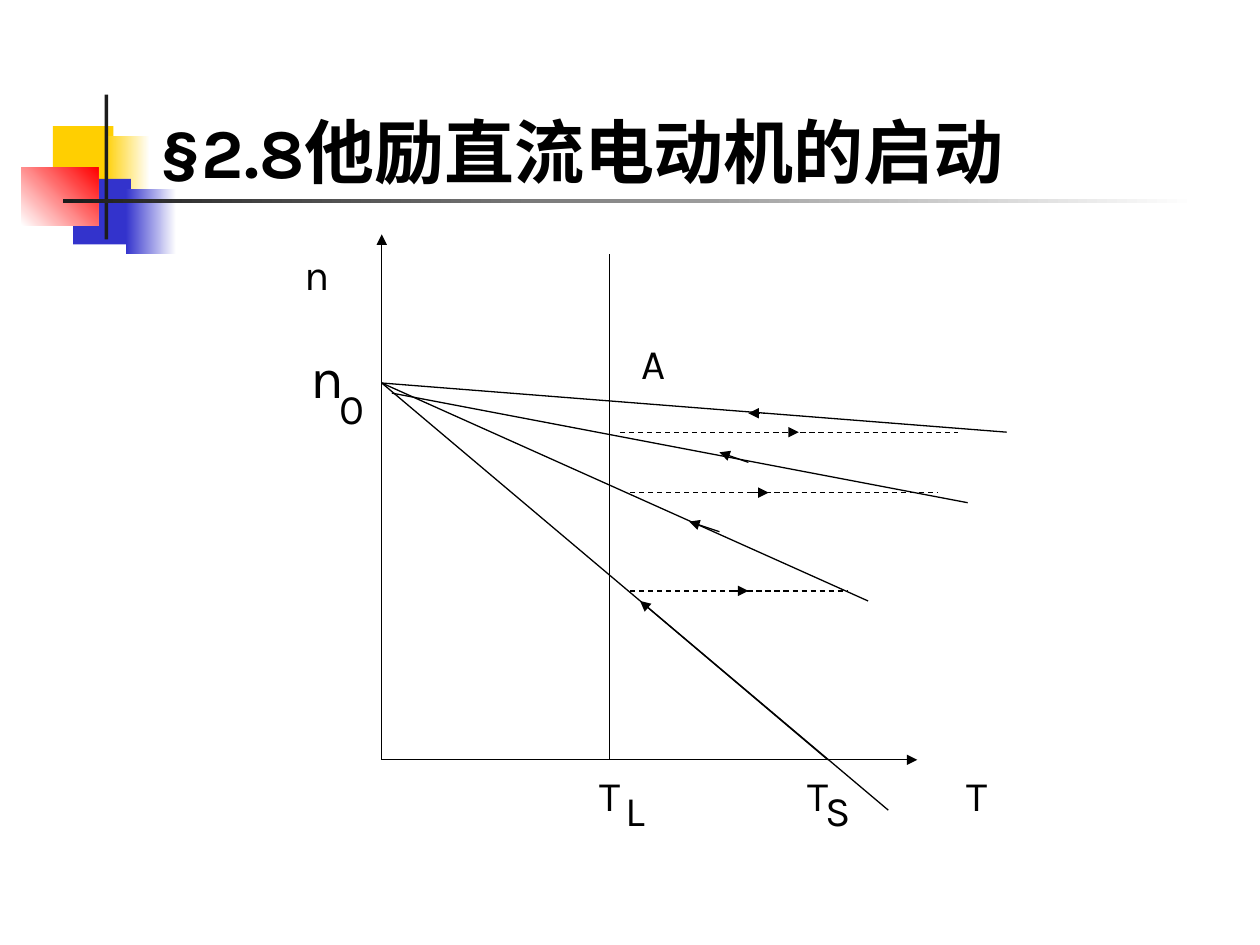
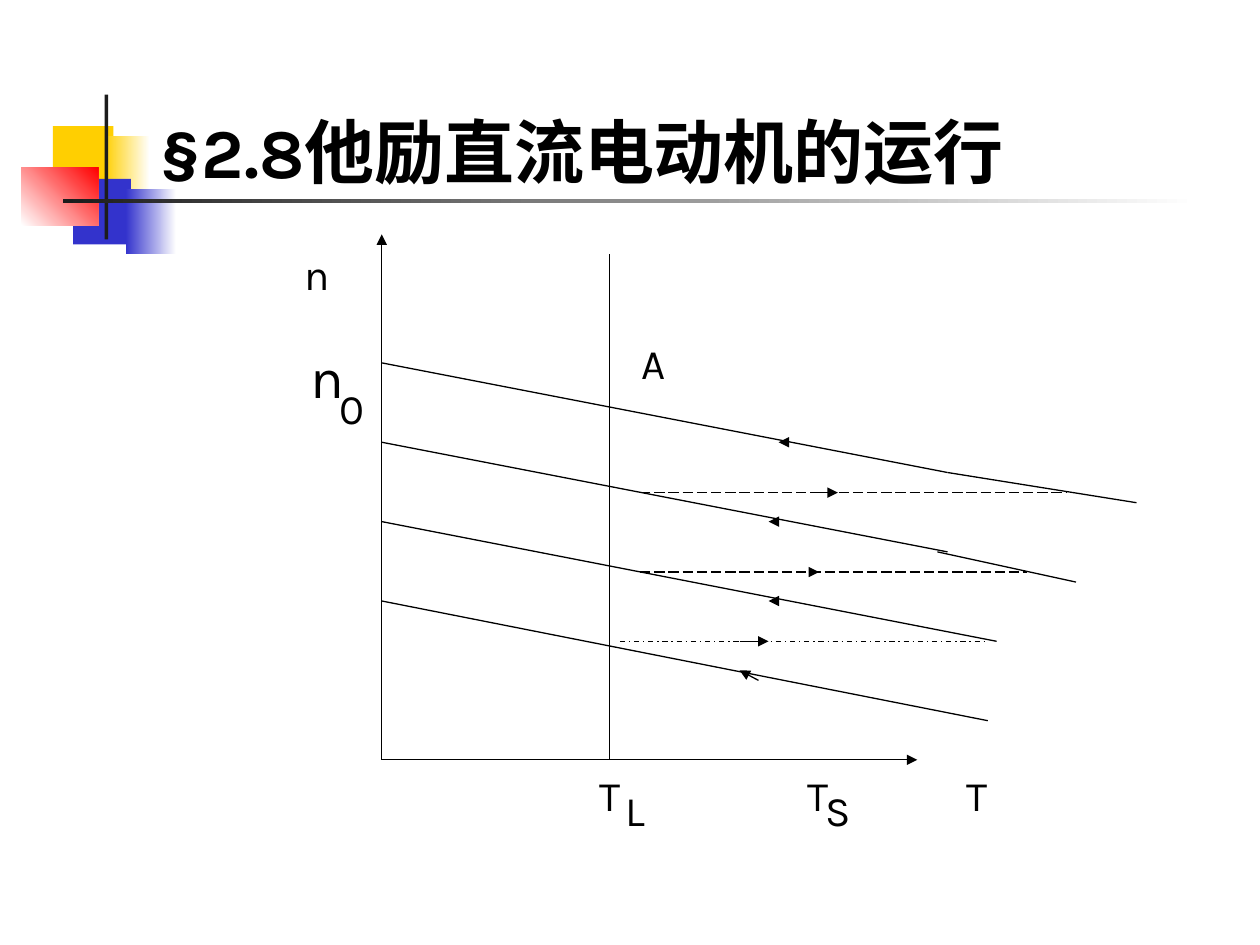
from lxml import etree
from pptx import Presentation
from pptx.dml.color import RGBColor
from pptx.enum.dml import MSO_LINE
from pptx.enum.shapes import MSO_CONNECTOR, MSO_SHAPE
from pptx.enum.text import MSO_ANCHOR, PP_ALIGN
from pptx.oxml.ns import qn
from pptx.util import Inches, Pt

RECT = MSO_SHAPE.RECTANGLE
STRAIGHT = MSO_CONNECTOR.STRAIGHT
TOP, MIDDLE, BOTTOM = MSO_ANCHOR.TOP, MSO_ANCHOR.MIDDLE, MSO_ANCHOR.BOTTOM
LEFT, CENTER = PP_ALIGN.LEFT, PP_ALIGN.CENTER
DASH, LONG_DASH, DASH_DOT = MSO_LINE.DASH, MSO_LINE.LONG_DASH, MSO_LINE.DASH_DOT

FONT = "Karla"
COLORS = {
    "white": "FFFFFF", "black": "000000", "yellow": "FFCF01",
    "blue": "3333CC", "red": "FF0000", "rule": "1C1C1C",
}

BANDS = [
    ((0.42, 1, 0.48, 0.52), ("yellow",), 0),
    ((0.83, 1.08, 0.36, 0.52), ("yellow", "white"), 0),
    ((0.58, 1.42, 0.46, 0.52), ("blue",), 0),
    ((1, 1.5, 0.4, 0.52), ("blue", "white"), 0),
    ((0.17, 1.33, 0.61, 0.46), ("white", "red"), 45),
    ((0.83, 0.75, 0.03, 1.15), ("rule",), 0),
    ((0.5, 1.58, 9, 0.03), ("rule", "white"), 0),
]

TITLE_BOX = (1.17, 0.5, 8.52, 1.08)
TITLE_STYLE = {"size": Pt(40), "bold": True}
LABEL_STYLE = {"size": Pt(24)}
SPEED_STYLE = {"size": Pt(32)}

LABELS = [
    ("n", (2.24, 1.94, 0.55, 0.47)),
    ("0", (2.56, 2.96, 0.47, 0.55)),
    ("T", (6.18, 5.95, 0.63, 0.71)),
    ("T", (7.44, 5.95, 0.63, 0.71)),
    ("L", (4.69, 6.11, 0.71, 0.63)),
    ("S", (6.34, 6.11, 0.63, 0.63)),
    ("A ", (4.92, 2.57, 0.61, 0.61)),
    ("T", (4.53, 5.95, 0.63, 0.71)),
]
NO_LOAD_SPEED = ("n", (2.32, 2.73, 0.56, 0.59))

ORIGIN_X, ORIGIN_Y, LOAD_X = 3.03, 6.03, 4.84
AXES = [(ORIGIN_X, ORIGIN_Y, ORIGIN_X, 1.86), (ORIGIN_X, ORIGIN_Y, 7.28, ORIGIN_Y)]
LOAD_LINE = (LOAD_X, 2.02, LOAD_X, ORIGIN_Y)

SLIDES = [
    {
        "title": "§2.8他励直流电动机的启动",
        "curves": [
            (ORIGIN_X, 3.04, 7.05, 6.43),
            (ORIGIN_X, 3.04, 6.89, 4.77),
            (3.11, 3.12, 7.68, 3.99),
            (ORIGIN_X, 3.04, 7.99, 3.43),
        ],
        "arrows": [
            (6.57, ORIGIN_Y, 5.08, 4.77),
            (5.71, 4.22, 5.47, 4.14),
            (5.94, 3.67, 5.71, 3.59),
            (5.79, 4.69, 5.94, 4.69),
            (5.94, 3.91, 6.1, 3.91),
            (6.26, 3.43, 6.34, 3.43),
        ],
        "dashed_arrows": [(6.1, 3.28, 5.94, 3.28)],
        "switches": [
            ((5, 4.69, 6.73, 4.69), DASH),
            ((5, 3.91, 7.44, 3.91), DASH),
            ((4.92, 3.43, 7.6, 3.43), DASH),
        ],
    },
    {
        "title": "§2.8他励直流电动机的运行",
        "curves": [
            (ORIGIN_X, 2.88, 7.52, 3.75),
            (7.52, 3.75, 9.02, 3.99),
            (ORIGIN_X, 3.51, 7.52, 4.38),
            (7.44, 4.38, 8.54, 4.62),
            (ORIGIN_X, 4.14, 7.91, 5.09),
            (ORIGIN_X, 4.77, 7.84, 5.72),
        ],
        "arrows": [
            (6.02, 5.4, 5.87, 5.32),
            (6.18, 4.77, 6.1, 4.77),
            (6.18, 4.14, 6.1, 4.14),
            (6.26, 3.51, 6.18, 3.51),
            (6.02, 5.09, 6.02, 5.09),
            (5.87, 5.09, 6.1, 5.09),
            (6.42, 4.54, 6.5, 4.54),
            (6.5, 3.91, 6.65, 3.91),
        ],
        "dashed_arrows": [],
        "switches": [
            ((4.92, 5.09, 7.84, 5.09), DASH_DOT),
            ((5.08, 4.54, 8.15, 4.54), LONG_DASH),
            ((5.08, 3.91, 8.47, 3.91), LONG_DASH),
        ],
    },
]


def rgb(name):
    return RGBColor.from_string(COLORS[name])


def inches(values):
    return [Inches(v) for v in values]


def add_band(s, box, colors, angle):
    sp = s.shapes.add_shape(RECT, *inches(box))
    sp.shadow.inherit = False
    sp.line.fill.background()
    if len(colors) == 1:
        sp.fill.solid()
        sp.fill.fore_color.rgb = rgb(colors[0])
        return
    sp.fill.gradient()
    sp.fill.gradient_angle = angle
    for stop, color in zip(sp.fill.gradient_stops, colors):
        stop.color.rgb = rgb(color)


def add_text(s, text, box, style, anchor=MIDDLE, align=CENTER, wrap=False, spacing=None):
    tf = s.shapes.add_textbox(*inches(box)).text_frame
    tf.word_wrap = wrap
    tf.vertical_anchor = anchor
    p = tf.paragraphs[0]
    p.alignment = align
    p.line_spacing = spacing
    r = p.add_run()
    r.text = text
    for name, value in {"name": FONT, **style}.items():
        setattr(r.font, name, value)
    r.font.color.rgb = rgb("black")
    etree.SubElement(r.font._element, qn("a:ea"), typeface=FONT)


def add_line(s, ends, arrow=False, dash=None):
    cxn = s.shapes.add_connector(STRAIGHT, *inches(ends))
    cxn.line.color.rgb = rgb("black")
    cxn.line.width = Pt(0.75)
    if dash is not None:
        cxn.line.dash_style = dash
    if arrow:
        etree.SubElement(cxn.line._get_or_add_ln(), qn("a:tailEnd"), type="triangle")
    etree.SubElement(cxn._element.spPr, qn("a:effectLst"))


def build_slide(prs, content):
    s = prs.slides.add_slide(prs.slide_layouts[6])
    for band in BANDS:
        add_band(s, *band)
    add_text(s, content["title"], TITLE_BOX, TITLE_STYLE, BOTTOM, LEFT, True)
    for ends in [LOAD_LINE] + content["curves"]:
        add_line(s, ends)
    for ends, dash in content["switches"]:
        add_line(s, ends, dash=dash)
    for ends in AXES + content["arrows"]:
        add_line(s, ends, arrow=True)
    for ends in content["dashed_arrows"]:
        add_line(s, ends, arrow=True, dash=DASH)
    for text, box in LABELS:
        add_text(s, text, box, LABEL_STYLE)
    add_text(s, *NO_LOAD_SPEED, SPEED_STYLE, TOP, wrap=True, spacing=0.9)


def main():
    prs = Presentation()
    prs.slide_width, prs.slide_height = Inches(10), Inches(7.5)
    for content in SLIDES:
        build_slide(prs, content)
    prs.save("out.pptx")


if __name__ == "__main__":
    main()
